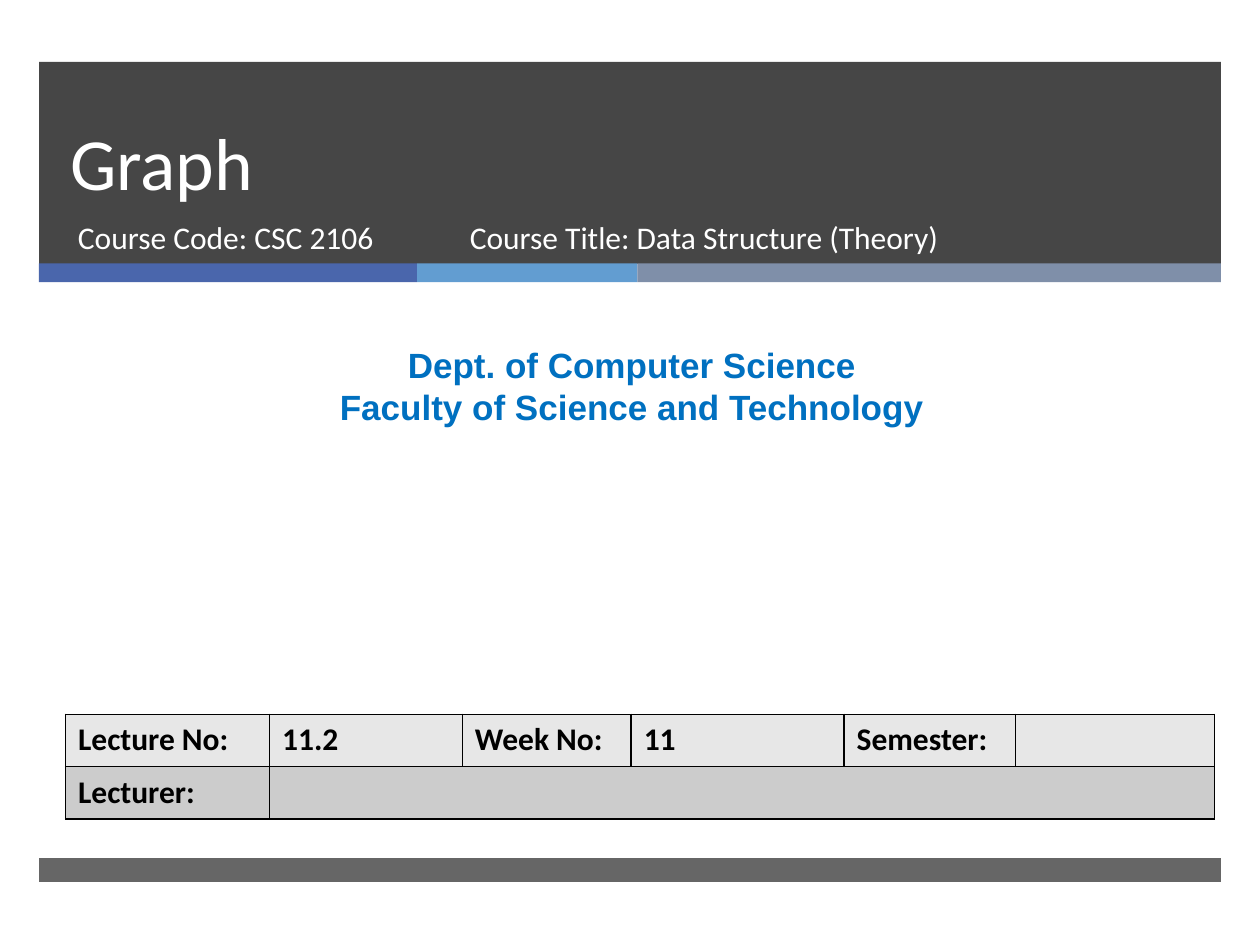
from dataclasses import dataclass
from itertools import accumulate

from lxml.etree import SubElement
from pptx import Presentation
from pptx.dml.color import RGBColor
from pptx.enum.shapes import MSO_SHAPE
from pptx.enum.text import MSO_ANCHOR, PP_ALIGN
from pptx.oxml.ns import qn
from pptx.slide import Slide
from pptx.table import _Cell
from pptx.text.text import TextFrame
from pptx.util import Inches, Pt

COLUMNS, ROWS = 100, 75
SLIDE_WIDTH, SLIDE_HEIGHT = Inches(10), Inches(7.5)


@dataclass(frozen=True)
class Theme:
    """Colours, fonts and type sizes of the slide."""
    panel: str = "262626"
    accents: tuple[str, ...] = ("4A66AC", "629DD1", "7F8FA9")
    row_fills: tuple[str, ...] = ("E7E7E7", "CCCCCC")
    light: str = "FFFFFF"
    dark: str = "000000"
    department: str = "0070C0"
    body_font: str = "Calibri"
    department_font: str = "Arial"
    title_size: int = 42
    department_size: int = 20
    body_size: int = 18


@dataclass(frozen=True)
class Area:
    """A rectangle in grid columns and rows."""
    left: float
    top: float
    width: float
    height: float

    def lengths(self) -> tuple[int, int, int, int]:
        """Return left, top, width and height in slide units."""
        return (across(self.left), down(self.top), across(self.width), down(self.height))


@dataclass(frozen=True)
class Band:
    """A filled strip with its opacity in percent."""
    area: Area
    color: str
    opacity: int = 100


@dataclass(frozen=True)
class Style:
    """How a piece of text looks."""
    size: int
    color: str
    font: str
    bold: bool = False
    align: PP_ALIGN = PP_ALIGN.LEFT
    line_points: int | None = None


@dataclass(frozen=True)
class Label:
    """Text placed on the slide."""
    area: Area
    text: str
    style: Style
    anchor: MSO_ANCHOR = MSO_ANCHOR.TOP


THEME = Theme()
TITLE = Style(THEME.title_size, THEME.light, THEME.body_font, line_points=46)
COURSE = Style(THEME.body_size, THEME.light, THEME.body_font)
DEPARTMENT = Style(THEME.department_size, THEME.department, THEME.department_font,
                   True, PP_ALIGN.CENTER, 24)
DETAIL = Style(THEME.body_size, THEME.dark, THEME.body_font, True)

MARGIN, BAND_WIDTH = 3.1, 93.8
ACCENT_WIDTHS = (30, 17.5, 46.3)
ACCENT_LEFTS = accumulate(ACCENT_WIDTHS[:-1], initial=MARGIN)
BANDS = (
    Band(Area(MARGIN, 4.9, BAND_WIDTH, 16.05), THEME.panel, 85),
    *(Band(Area(left, 20.9, width, 1.5), color)
      for left, width, color in zip(ACCENT_LEFTS, ACCENT_WIDTHS, THEME.accents)),
    Band(Area(MARGIN, 68.1, BAND_WIDTH, 1.9), THEME.panel, 70),
)
LABELS = (
    Label(Area(4.6, 4.9, 85.4, 11.9), "Graph", TITLE, MSO_ANCHOR.BOTTOM),
    Label(Area(5.2, 16.8, 30.5, 5.3), "Course Code: CSC 2106", COURSE),
    Label(Area(0.8, 26.8, 98.7, 7.7),
          "Dept. of Computer Science\nFaculty of Science and Technology", DEPARTMENT),
    Label(Area(36.3, 16.8, 45.5, 5.3), "Course Title: Data Structure (Theory)", COURSE),
)
DETAILS_AREA = Area(5.2, 56.7, 91.2, 8.3)
DETAIL_WIDTHS = (16.2, 15.3, 13.4, 16.9, 13.6, 15.8)
DETAILS = (
    ("Lecture No:", "11.2", "Week No:", "11", "Semester:", ""),
    ("Lecturer:", "", "", "", "", ""),
)


def across(columns: float) -> int:
    """Convert grid columns to a length."""
    return round(SLIDE_WIDTH * columns / COLUMNS)


def down(rows: float) -> int:
    """Convert grid rows to a length."""
    return round(SLIDE_HEIGHT * rows / ROWS)


def write(frame: TextFrame, text: str, style: Style) -> None:
    """Fill a text frame and format its runs."""
    frame.text = text
    for paragraph in frame.paragraphs:
        paragraph.alignment = style.align
        if style.line_points:
            paragraph.line_spacing = Pt(style.line_points)
        for run in paragraph.runs:
            run.font.size = Pt(style.size)
            run.font.name = style.font
            run.font.bold = style.bold
            run.font.color.rgb = RGBColor.from_string(style.color)


def draw_band(slide: Slide, band: Band) -> None:
    """Draw one strip without outline."""
    strip = slide.shapes.add_shape(MSO_SHAPE.RECTANGLE, *band.area.lengths())
    strip.shadow.inherit = False
    strip.line.fill.background()
    strip.fill.solid()
    strip.fill.fore_color.rgb = RGBColor.from_string(band.color)
    if band.opacity < 100:
        color = strip.fill._xPr.find(f".//{qn('a:srgbClr')}")
        SubElement(color, qn("a:alpha"), val=str(band.opacity * 1000))


def draw_label(slide: Slide, label: Label) -> None:
    """Draw one wrapped text box."""
    frame = slide.shapes.add_textbox(*label.area.lengths()).text_frame
    frame.word_wrap = True
    frame.vertical_anchor = label.anchor
    write(frame, label.text, label.style)


def outline(cell: _Cell) -> None:
    """Give a cell a thin dark border on every side."""
    properties = cell._tc.get_or_add_tcPr()
    for position, side in enumerate(("lnL", "lnR", "lnT", "lnB")):
        border = properties.makeelement(qn(f"a:{side}"), {"w": str(Pt(1))})
        properties.insert(position, border)
        fill = SubElement(border, qn("a:solidFill"))
        SubElement(fill, qn("a:srgbClr"), val=THEME.dark)


def draw_details(slide: Slide) -> None:
    """Draw the lecture details table."""
    table = slide.shapes.add_table(
        len(DETAILS), len(DETAIL_WIDTHS), *DETAILS_AREA.lengths()).table
    for column, width in zip(table.columns, DETAIL_WIDTHS):
        column.width = across(width)
    for row, texts, color in zip(table.rows, DETAILS, THEME.row_fills):
        for cell, text in zip(row.cells, texts):
            cell.fill.solid()
            cell.fill.fore_color.rgb = RGBColor.from_string(color)
            outline(cell)
            write(cell.text_frame, text, DETAIL)
    table.cell(1, 1).merge(table.cell(1, len(DETAIL_WIDTHS) - 1))


def main() -> None:
    """Build and save the slide."""
    presentation = Presentation()
    presentation.slide_width, presentation.slide_height = SLIDE_WIDTH, SLIDE_HEIGHT
    slide = presentation.slides.add_slide(presentation.slide_layouts[6])
    for band in BANDS:
        draw_band(slide, band)
    for label in LABELS:
        draw_label(slide, label)
    draw_details(slide)
    presentation.save("out.pptx")


if __name__ == "__main__":
    main()
